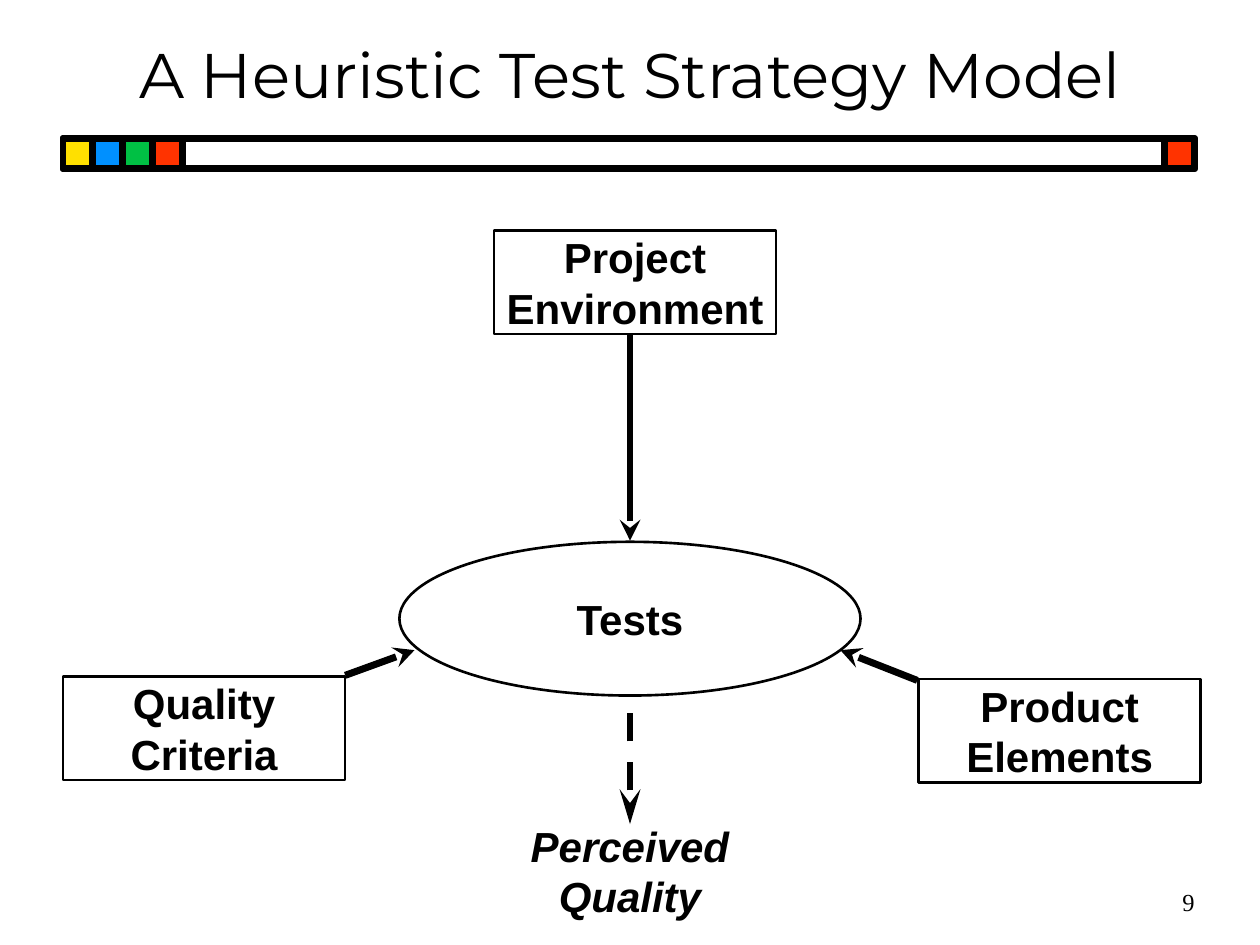
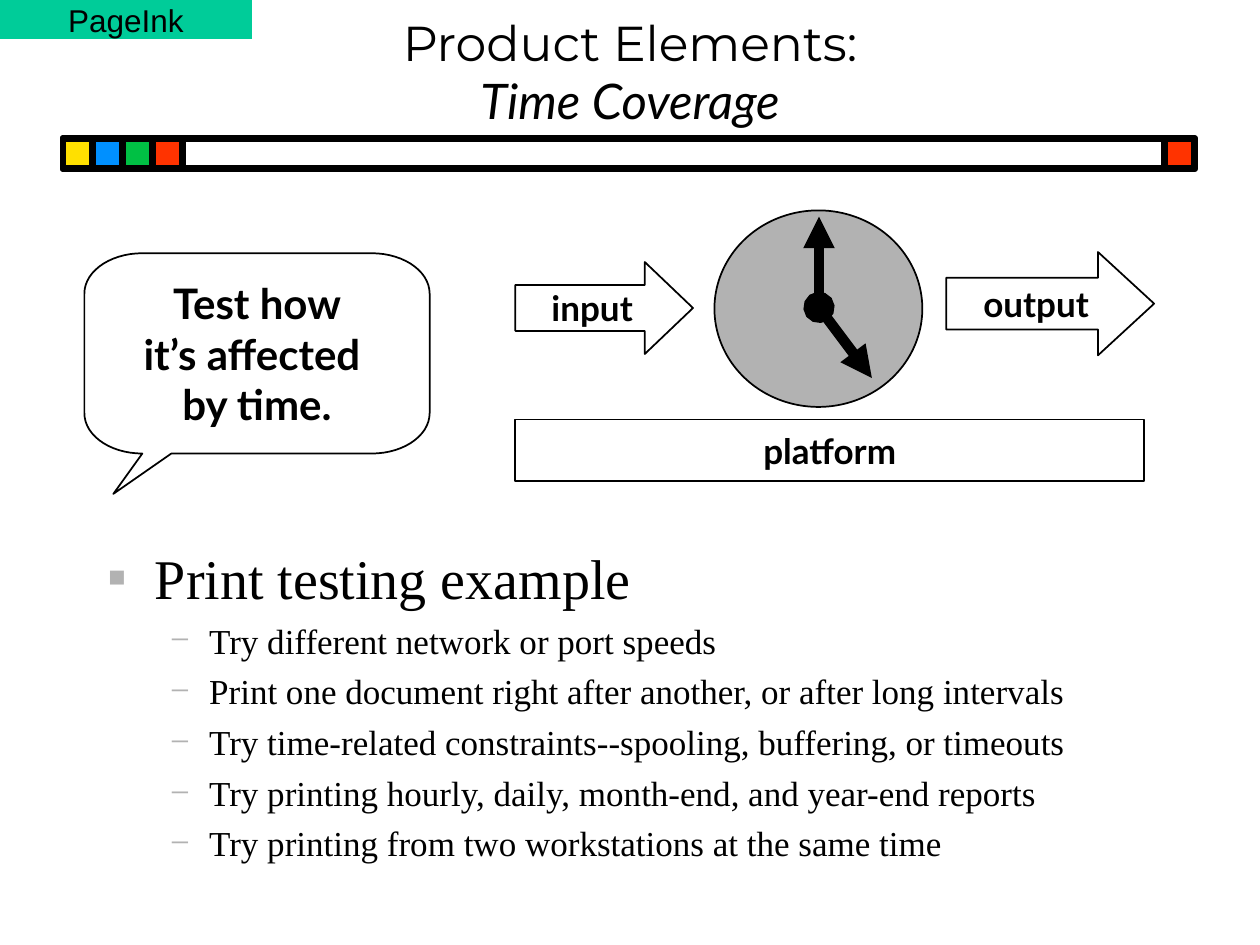
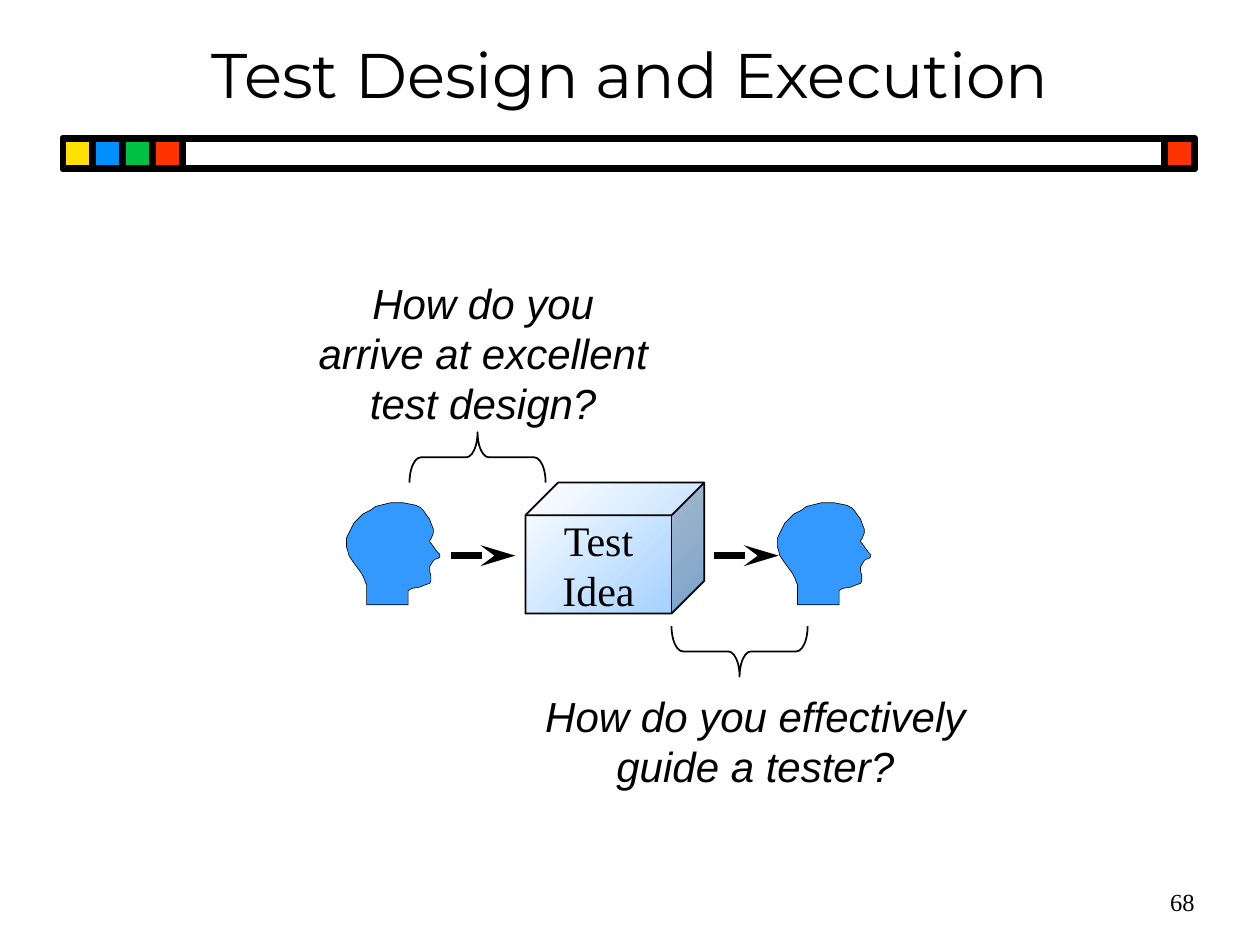
"""Build three slides on test strategy: model, time coverage, design and execution."""
import math
from copy import deepcopy
from dataclasses import dataclass

from lxml import etree
from pptx import Presentation
from pptx.dml.color import RGBColor
from pptx.enum import dml, shapes, text
from pptx.oxml.ns import qn
from pptx.util import Pt


@dataclass(frozen=True)
class Theme:
    ink: str = "000000"
    paper: str = "FFFFFF"
    grey: str = "B2B2B2"
    label: str = "00CC99"
    head: str = "3399FF"
    pale: str = "99CCFF"
    squares: tuple = ("FFE000", "0090FF", "00C044", "FF3300")
    title_font: str = "Montserrat"
    accent_font: str = "Lato"
    sans: str = "Arial"
    serif: str = "Times New Roman"
    title: int = 36
    subtitle: int = 28
    heading: int = 32
    large: int = 24
    medium: int = 20
    small: int = 18
    page: int = 14
    thin: float = 1
    outline: float = 1.5
    thick: float = 4
    hand: float = 6


T = Theme()
KIND = shapes.MSO_SHAPE
ALIGN = text.PP_ALIGN
ANCHOR = text.MSO_ANCHOR

BAND = (36, 79.2, 646.6, 17.1)

MODEL_BOXES = [
    ("Project\nEnvironment", 282.24, 131.76),
    ("Product\nElements", 524.88, 388.08),
    ("Quality\nCriteria", 36, 386.64),
]
MODEL_BOX_SIZE = (161.28, 59.04)
MODEL_ARROWS = [
    ((360, 189.36), (360, 308.88)),
    ((524.16, 388.8), (480.24, 371.52)),
    ((197.28, 385.92), (236.88, 371.52)),
]

TIME_BLOCKS = [
    ("input", KIND.RIGHT_ARROW, (294.48, 149.76, 101.52, 52.56), (0.5, 0.524), T.paper),
    ("output", KIND.RIGHT_ARROW, (540.72, 144, 118.8, 59.04), (0.5, 0.543), T.paper),
    ("platform", KIND.RECTANGLE, (294.48, 239.76, 359.28, 35.28), (), None),
]
TIME_POINTS = [
    ("Print testing example", 0),
    ("Try different network or port speeds", 1),
    ("Print one document right after another, or after long intervals", 1),
    ("Try time-related constraints--spooling, buffering, or timeouts", 1),
    ("Try printing hourly, daily, month-end, and year-end reports", 1),
    ("Try printing from two workstations at the same time", 1),
]
LEVELS = [
    dict(char="▪", left=27.36, hang=27.36, before=0, size=T.heading),
    dict(char="−", left=58.32, hang=22.32, before=5, size=T.medium),
]

QUESTIONS = [
    ("How do you effectively\vguide a tester?", (293.76, 390.96, 275.76, 64.8)),
    ("How do you\varrive at excellent\vtest design?", (174.24, 154.8, 203.76, 93.6)),
]
BRACES = [(258.48, 222.48, 90), (408.24, 333.36, 270)]
HEAD_LEFTS = (198, 444.24)
HEAD_UNIT = 0.72
HEAD = [
    (49, 81), (49, 70), (50, 69), (52, 68), (58, 67), (63, 65), (66, 64), (67, 62),
    (67, 58), (66, 54), (66, 51), (67, 49), (69, 46), (70, 45), (73, 44), (74, 43),
    (74, 41), (72, 39), (67, 32), (66, 31), (66, 30), (67, 29), (69, 24), (69, 21),
    (67, 16), (66, 13), (63, 9), (61, 6), (59, 4), (55, 2), (50, 1), (45, 0),
    (35, 0), (31, 1), (27, 2), (23, 3), (19, 6), (13, 9), (9, 13), (6, 16),
    (4, 20), (2, 24), (0, 28), (0, 35), (1, 38), (2, 42), (6, 48), (12, 56),
    (14, 60), (15, 63), (16, 65), (16, 81),
]


def pts(*values):
    return [Pt(v) for v in values]


def rgb(code):
    return RGBColor.from_string(code)


def write(tf, content, font=T.sans, size=T.large, bold=False, italic=False,
          align=ALIGN.CENTER, anchor=ANCHOR.MIDDLE, wrap=False):
    tf.auto_size = text.MSO_AUTO_SIZE.NONE
    tf.word_wrap = wrap
    tf.vertical_anchor = anchor
    tf.text = content
    for p in tf.paragraphs:
        p.alignment = align
        for r in p.runs:
            f = r.font
            f.name, f.size, f.bold, f.italic = font, Pt(size), bold, italic
            f.color.rgb = rgb(T.ink)
        for br in p._p.findall(qn("a:br")):
            br.append(deepcopy(p.runs[0]._r.rPr))
    return tf


def paint(sp, fill=None, width=T.thin):
    sp.shadow.inherit = False
    if fill:
        sp.fill.solid()
        sp.fill.fore_color.rgb = rgb(fill)
    else:
        sp.fill.background()
    if width:
        sp.line.color.rgb = rgb(T.ink)
        sp.line.width = Pt(width)
    else:
        sp.line.fill.background()
    return sp


def shape(s, kind, box, fill=None, width=T.thin, adjust=()):
    sp = paint(s.shapes.add_shape(kind, *pts(*box)), fill, width)
    for i, value in enumerate(adjust):
        sp.adjustments[i] = value
    return sp


def outline(s, points, left, top, unit=1, **look):
    grid = [(round(x * unit * 100), round(y * unit * 100)) for x, y in points]
    builder = s.shapes.build_freeform(*grid[0], scale=Pt(0.01))
    builder.add_line_segments(grid[1:], close=True)
    return paint(builder.convert_to_shape(*pts(left, top)), **look)


def textbox(s, content, box, **fmt):
    return write(s.shapes.add_textbox(*pts(*box)).text_frame, content, wrap=True, **fmt)


def arrow(s, start, end, width=T.thick, head=None, tail=None, length="med"):
    line = s.shapes.add_connector(shapes.MSO_CONNECTOR.STRAIGHT, *pts(*start, *end))
    line.line.color.rgb = rgb(T.ink)
    line.line.width = Pt(width)
    ln = line.line._get_or_add_ln()
    for tag, kind in (("a:headEnd", head), ("a:tailEnd", tail)):
        if kind:
            etree.SubElement(ln, qn(tag), type=kind, w="med", len=length)
    etree.SubElement(line._element.spPr, qn("a:effectLst"))
    return line


def bullet(p, char, left, hang, before):
    pPr = p._p.get_or_add_pPr()
    pPr.set("marL", str(Pt(left)))
    pPr.set("indent", str(-Pt(hang)))
    color = etree.SubElement(pPr, qn("a:buClr"))
    etree.SubElement(color, qn("a:srgbClr"), val=T.grey)
    etree.SubElement(pPr, qn("a:buFont"), typeface=T.serif)
    etree.SubElement(pPr, qn("a:buChar"), char=char)
    p.space_before = Pt(before)


def place(sp, box):
    sp.left, sp.top, sp.width, sp.height = pts(*box)
    return sp


def new_slide(prs, title, layout=5, page=None, **fmt):
    s = prs.slides.add_slide(prs.slide_layouts[layout])
    sp = place(s.shapes.title, (0, 5.76, 720, 72))
    write(sp.text_frame, title, wrap=True, **{"font": T.title_font, "size": T.title, **fmt})
    if page:
        textbox(s, page, (540, 497.52, 149.76, 36), font=T.serif, size=T.page,
                align=ALIGN.RIGHT)
    return s


def band_to_master(prs, s):
    left, top, width, side = BAND
    lefts = [left + i * side for i in range(len(T.squares))] + [left + width - side]
    parts = [shape(s, KIND.RECTANGLE, BAND, width=T.thick)]
    for x, color in zip(lefts, T.squares + T.squares[-1:]):
        parts.append(shape(s, KIND.RECTANGLE, (x, top, side, side), color, T.thick))
    for i, sp in enumerate(parts, 101):
        sp._element.nvSpPr.cNvPr.set("id", str(i))
        prs.slide_master.shapes.element.append(sp._element)


def strategy_model(prs):
    s = new_slide(prs, "A Heuristic Test Strategy Model", page="9")
    band_to_master(prs, s)
    for start, end in MODEL_ARROWS:
        arrow(s, start, end, tail="stealth")
    tests = shape(s, KIND.OVAL, (228.24, 309.6, 263.52, 87.84), T.paper, T.outline)
    write(tests.text_frame, "Tests", bold=True)
    for label, x, y in MODEL_BOXES:
        sp = shape(s, KIND.RECTANGLE, (x, y, *MODEL_BOX_SIZE), T.paper, T.outline)
        write(sp.text_frame, label, bold=True)
    result = arrow(s, (360, 470.88), (360, 396.72), head="stealth", length="lg")
    result.line.dash_style = dml.MSO_LINE.DASH
    textbox(s, "Perceived\nQuality", (293.76, 465.12, 132.48, 64.8), bold=True,
            italic=True, anchor=ANCHOR.TOP)


def callout_points(width, height, rx, ry, tail):
    corners = [(width - rx, ry, -90), (width - rx, height - ry, 0),
               (rx, height - ry, 90), (rx, ry, 180)]
    points = []
    for cx, cy, start in corners:
        if start == 90:
            points += tail
        for step in range(0, 91, 6):
            a = math.radians(start + step)
            points.append((cx + rx * math.cos(a), cy + ry * math.sin(a)))
    return points


def time_coverage(prs):
    s = new_slide(prs, "Product Elements:\vTime Coverage", layout=1, size=T.subtitle,
                  anchor=ANCHOR.BOTTOM)
    f = s.shapes.title.text_frame.paragraphs[0].runs[1].font
    f.name, f.italic = T.accent_font, True

    height, drop = 114.48, 23.04
    tail = [(49.68, height), (16.56, height + drop), (33.12, height)]
    balloon = outline(s, callout_points(197.28, height, 33.12, 23.04, tail),
                      48.24, 144.72, fill=T.paper)
    tf = write(balloon.text_frame, "Test how\vit’s affected \nby time.",
               font=T.accent_font, bold=True)
    tf.margin_bottom = Pt(3.6 + drop)

    body = place(s.placeholders[1], (54, 306.72, 653.76, 233.28))
    tf = write(body.text_frame, "\n".join(line for line, _ in TIME_POINTS), font=T.serif,
               align=ALIGN.LEFT, anchor=ANCHOR.TOP, wrap=True)
    for p, (_, level) in zip(tf.paragraphs, TIME_POINTS):
        look = dict(LEVELS[level])
        p.level = level
        p.runs[0].font.size = Pt(look.pop("size"))
        bullet(p, **look)

    shape(s, KIND.OVAL, (408.24, 120.24, 118.8, 112.32), T.grey)
    for label, kind, box, adjust, fill in TIME_BLOCKS:
        sp = shape(s, kind, box, fill, adjust=adjust)
        write(sp.text_frame, label, font=T.accent_font, size=T.medium, bold=True)
    center = (468, 175.68)
    arrow(s, center, (498.24, 216), T.hand, head="oval", tail="triangle")
    arrow(s, center, (468, 123.84), T.hand, tail="triangle")
    label = shape(s, KIND.RECTANGLE, (0, 0, 144, 22.32), T.label, width=0)
    write(label.text_frame, "PageInk", size=T.small)


def design_and_execution(prs):
    s = new_slide(prs, "Test Design and Execution", page="68")
    for question, box in QUESTIONS:
        textbox(s, question, box, italic=True, anchor=ANCHOR.TOP)
    cube = shape(s, KIND.CUBE, (300.24, 275.76, 102.24, 74.88), adjust=(0.25,))
    cube.fill.gradient()
    cube.fill.gradient_angle = 135
    for stop, color in zip(cube.fill.gradient_stops, (T.pale, T.paper)):
        stop.color.rgb = rgb(color)
    write(cube.text_frame, "Test\nIdea", font=T.serif)
    for x in HEAD_LEFTS:
        outline(s, HEAD, x, 287.28, HEAD_UNIT, fill=T.head, width=0.37)
    for x in (257.76, 408.24):
        arrow(s, (x, 317.52), (x + 36.72, 317.52), tail="stealth", length="lg")
    for x, y, turn in BRACES:
        sp = shape(s, KIND.LEFT_BRACE, (x, y, 28.8, 77.76), adjust=(0.225, 0.5))
        sp.rotation = turn


def main():
    prs = Presentation()
    prs.slide_width, prs.slide_height = pts(720, 540)
    strategy_model(prs)
    time_coverage(prs)
    design_and_execution(prs)
    prs.save("out.pptx")


if __name__ == "__main__":
    main()
